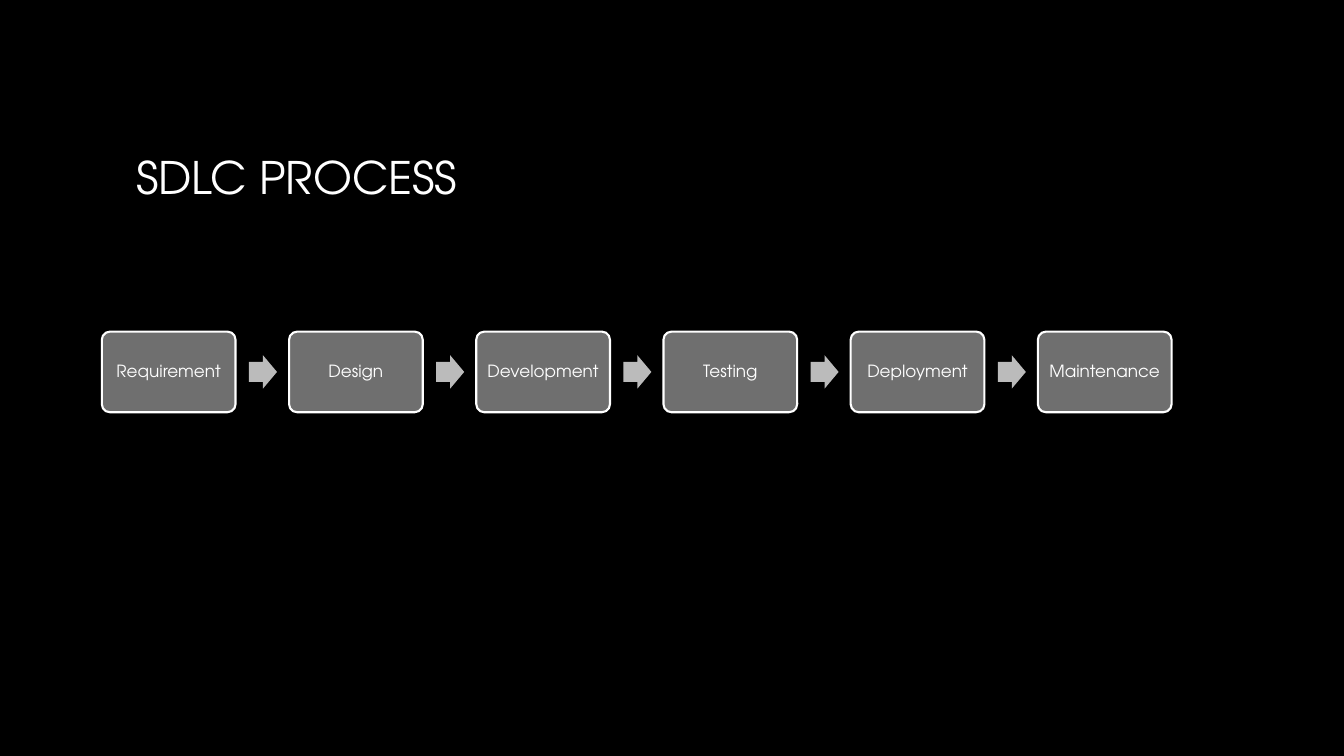
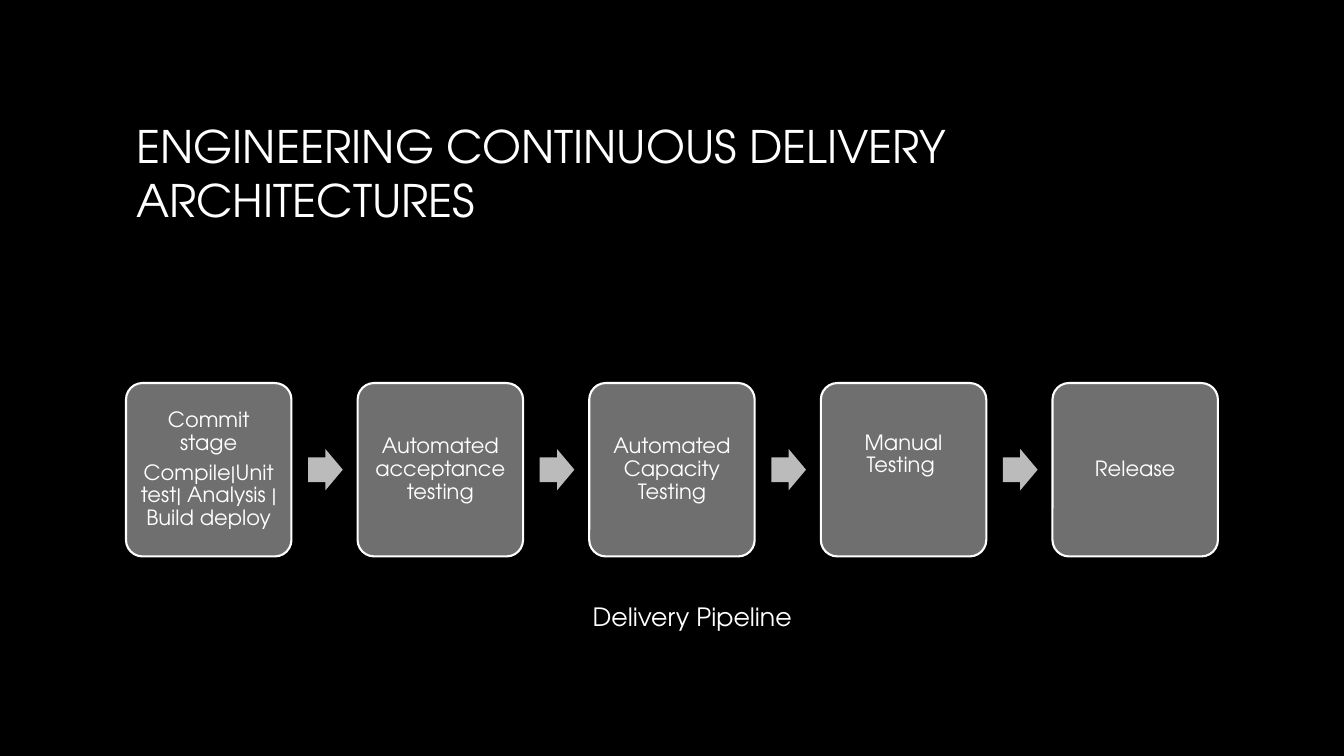
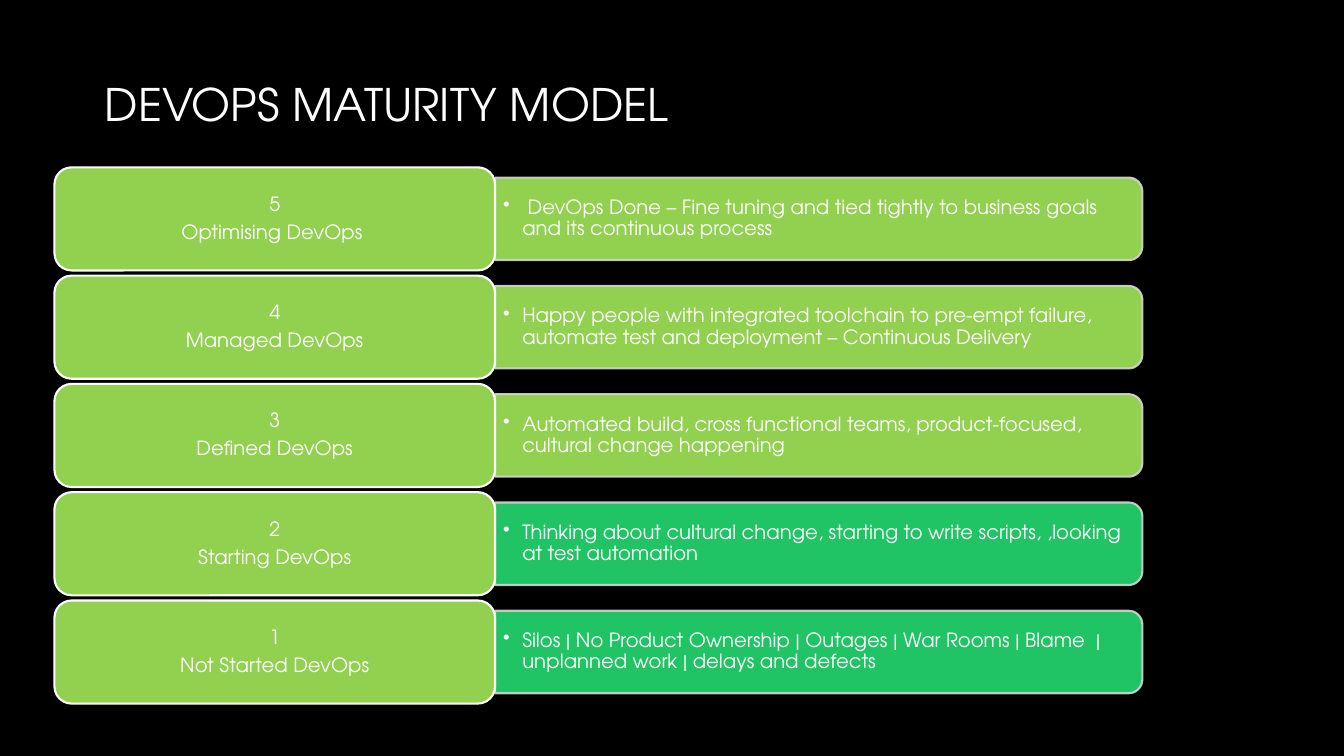
import math
from dataclasses import dataclass

import pptx
import pptx.dml.color
import pptx.enum.shapes
import pptx.enum.text
import pptx.oxml.ns
import pptx.util
from lxml import etree

Inches, Pt = pptx.util.Inches, pptx.util.Pt
SHAPE = pptx.enum.shapes.MSO_SHAPE
ALIGN = pptx.enum.text.PP_ALIGN
MIDDLE = pptx.enum.text.MSO_ANCHOR.MIDDLE
qn = pptx.oxml.ns.qn


@dataclass(frozen=True)
class Theme:
    font: str = "TeX Gyre Adventor"
    background: str = "000000"
    text: str = "FFFFFF"
    step: str = "6F6F6F"
    arrow: str = "BBBBBB"
    level: str = "92D050"
    early: str = "2CFF83"
    detail_line: str = "D5D5D5"
    title_size: int = 32
    caption_size: int = 18
    level_size: int = 14
    outline: float = 1.5


T = Theme()


def rgb(color):
    return pptx.dml.color.RGBColor.from_string(color)


def assign(obj, **values):
    for name, value in values.items():
        setattr(obj, name, value)


# Shared styling
def set_alpha(parent, percent):
    clr = parent.find(qn("a:solidFill") + "/" + qn("a:srgbClr"))
    etree.SubElement(clr, qn("a:alpha"), val=str(percent * 1000))


def style_shape(sp, fill, line=None):
    sp.shadow.inherit = False
    sp.fill.solid()
    sp.fill.fore_color.rgb = rgb(fill)
    if line:
        sp.line.color.rgb = rgb(line)
        sp.line.width = Pt(T.outline)
    else:
        sp.line.fill.background()


def set_text(sp, lines, size, align=ALIGN.LEFT, margins=None, **spacing):
    tf = sp.text_frame
    tf.word_wrap = True
    if margins:
        sides = ("margin_left", "margin_top", "margin_right", "margin_bottom")
        assign(tf, vertical_anchor=MIDDLE,
               **{side: Inches(m) for side, m in zip(sides, margins)})
    for i, line in enumerate(lines):
        p = tf.add_paragraph() if i else tf.paragraphs[0]
        assign(p, alignment=align, **spacing)
        r = p.add_run()
        r.text = line
        assign(r.font, name=T.font, size=Pt(size))
        r.font.color.rgb = rgb(T.text)
    return tf


def add_box(s, kind, box, fill, line=None):
    sp = s.shapes.add_shape(kind, *map(Inches, box))
    style_shape(sp, fill, line)
    return sp


def add_titled_slide(prs, title, box):
    s = prs.slides.add_slide(prs.slide_layouts[5])
    sp = s.shapes.title
    assign(sp, **dict(zip(("left", "top", "width", "height"), map(Inches, box))))
    tf = set_text(sp, [title], T.title_size)
    assign(tf, vertical_anchor=MIDDLE, auto_size=pptx.enum.text.MSO_AUTO_SIZE.NONE)
    return s


# Row of steps joined by block arrows
def add_process(s, box, steps, size, inset, raised=()):
    left, top, width, height = box
    step_w = width / (1.4 * len(steps) - 0.4)
    arrow_w, arrow_h = 0.21 * step_w, 0.25 * step_w
    for i, lines in enumerate(steps):
        x = left + 1.4 * step_w * i
        sp = add_box(s, SHAPE.ROUNDED_RECTANGLE, (x, top, step_w, height), T.step, T.text)
        sp.adjustments[0] = 0.1
        bottom = inset + 0.3 if i in raised else inset
        set_text(sp, lines, size, ALIGN.CENTER, (inset, inset, inset, bottom),
                 line_spacing=0.9, space_after=Pt(0.35 * size))
        if i < len(steps) - 1:
            arrow = add_box(s, SHAPE.RIGHT_ARROW,
                            (x + 1.1 * step_w, top + (height - arrow_h) / 2, arrow_w, arrow_h),
                            T.arrow)
            arrow.adjustments[0] = 0.6


# Bar with rounded right corners and one bullet
def add_detail(s, box, text, fill, alpha):
    left, top, width, height = box
    right, bottom, radius = left + width, top + height, height / 6
    arc = [math.radians(a) for a in range(0, 91, 10)]
    corner = [(right - radius * (1 - math.sin(a)), radius * (1 - math.cos(a))) for a in arc]
    points = [(x, top + dy) for x, dy in corner]
    points += [(x, bottom - dy) for x, dy in reversed(corner)]
    points.append((left, bottom))
    fb = s.shapes.build_freeform(Inches(left), Inches(top))
    fb.add_line_segments([(Inches(x), Inches(y)) for x, y in points])
    sp = fb.convert_to_shape()
    style_shape(sp, fill, T.detail_line)
    spPr = sp._element.spPr
    set_alpha(spPr.find(qn("a:ln")), 90)
    if alpha < 100:
        set_alpha(spPr, alpha)
    tf = set_text(sp, [text], T.level_size, margins=(0.08, 0.08, 0.11, 0.08),
                  line_spacing=0.9, space_after=Pt(0.15 * T.level_size))
    pPr = tf.paragraphs[0]._p.get_or_add_pPr()
    pPr.set("marL", str(Inches(0.19)))
    pPr.set("indent", str(Inches(-0.19)))
    etree.SubElement(pPr, qn("a:buChar"), char="•")


# Stack of levels, each a label and its detail bar
def add_levels(s, box, levels):
    left, top, width, height = box
    n = len(levels)
    row_h = height / (1.05 * n - 0.05)
    label_w = 0.405 * width
    for i, (name, detail, fill, alpha) in enumerate(levels):
        y = top + 1.05 * row_h * i
        add_detail(s, (left + label_w, y + 0.1 * row_h, width - label_w, 0.8 * row_h),
                   detail, fill, alpha)
        sp = add_box(s, SHAPE.ROUNDED_RECTANGLE, (left, y, label_w, row_h), T.level, T.text)
        set_text(sp, [str(n - i), name], T.level_size, ALIGN.CENTER, (0.09, 0.05, 0.09, 0.05),
                 line_spacing=0.9, space_after=Pt(0.35 * T.level_size))


def add_caption(s, box, text):
    sp = s.shapes.add_textbox(*map(Inches, box))
    set_text(sp, [text], T.caption_size).word_wrap = False


prs = pptx.Presentation()
assign(prs, slide_width=Inches(13.33), slide_height=Inches(7.5))
background = prs.slide_master.background.fill
background.solid()
background.fore_color.rgb = rgb(T.background)

# Development process
s = add_titled_slide(prs, "SDLC PROCESS", (1.25, 0.71, 10.83, 2.08))
phases = ["Requirement", "Design", "Development", "Testing", "Deployment", "Maintenance"]
add_process(s, (1.01, 3.29, 10.61, 0.8), [[phase] for phase in phases], 12, 0.05)

# Delivery pipeline
s = add_titled_slide(prs, "ENGINEERING CONTINUOUS DELIVERY ARCHITECTURES",
                     (1.25, 0.67, 10.83, 2.08))
stages = [
    ["Commit stage", "Compile|Unit test| Analysis | Build deploy"],
    ["Automated acceptance testing"],
    ["Automated Capacity Testing"],
    ["Manual Testing "],
    ["Release"],
]
add_process(s, (1.25, 3.8, 10.83, 1.72), stages, 15, 0.06, raised=(3,))
add_caption(s, (5.78, 5.92, 2.2, 0.4), "Delivery Pipeline")

# Maturity model
s = add_titled_slide(prs, "DEVOPS MATURITY MODEL", (0.94, 0.4, 10.83, 1.26))
levels = [
    ("Optimising DevOps ",
     " DevOps Done – Fine tuning and tied tightly to business goals and its continuous process",
     T.level, 100),
    ("Managed DevOps",
     "Happy people with integrated toolchain to pre-empt failure, "
     "automate test and deployment – Continuous Delivery", T.level, 100),
    ("Defined DevOps",
     "Automated build, cross functional teams, product-focused, cultural change happening",
     T.level, 100),
    ("Starting DevOps",
     "Thinking about cultural change, starting to write scripts, ,looking at test automation",
     T.early, 77),
    ("Not Started DevOps",
     "Silos | No Product Ownership | Outages | War Rooms | Blame  | "
     "unplanned work | delays and defects", T.early, 77),
]
add_levels(s, (0.54, 1.66, 10.79, 5.32), levels)

prs.save("out.pptx")
